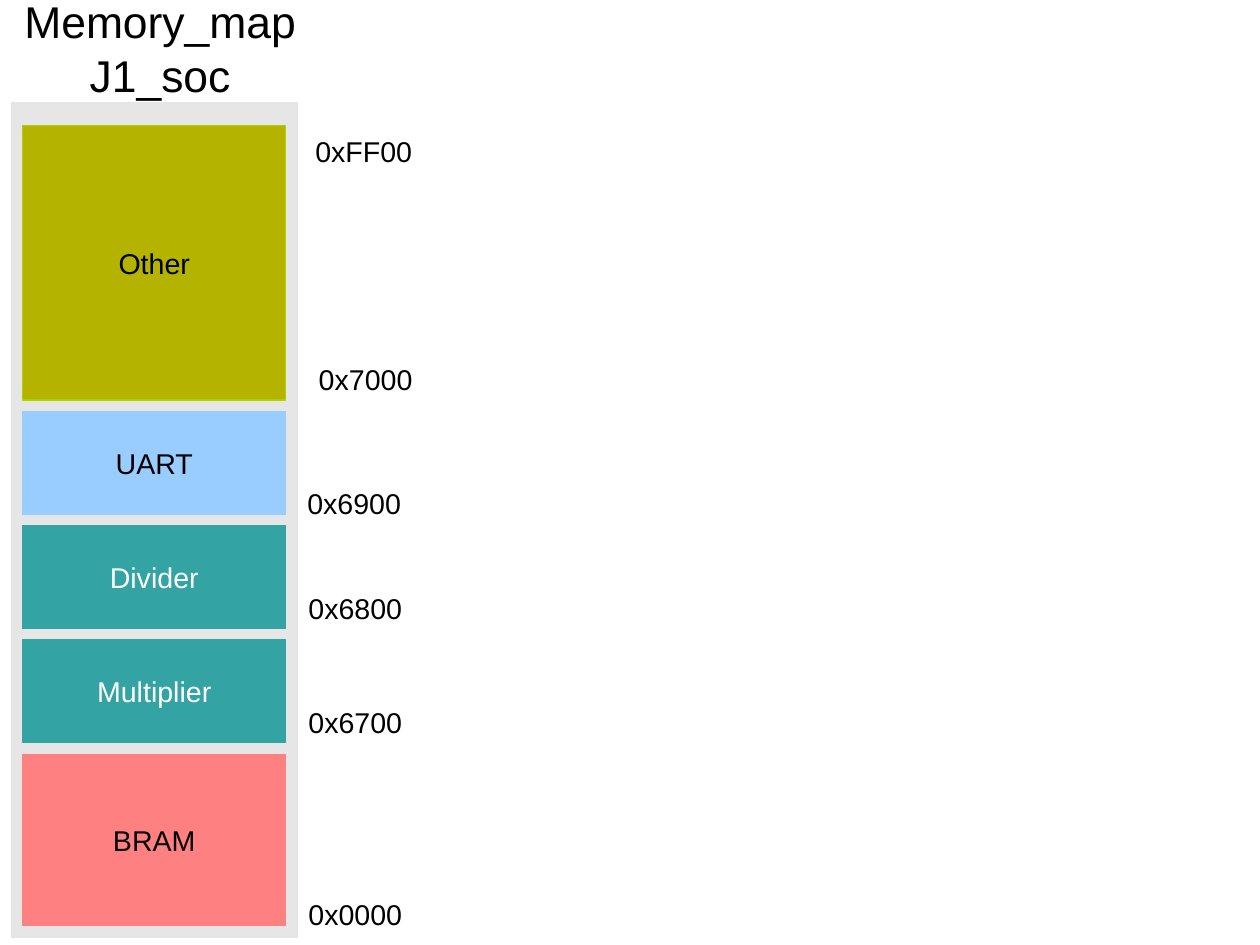
from pptx import Presentation
from pptx.dml.color import RGBColor
from pptx.enum.shapes import MSO_SHAPE as Shape
from pptx.enum.text import MSO_ANCHOR as Anchor, MSO_AUTO_SIZE as Auto, PP_ALIGN as Align
from pptx.util import Inches, Pt

BLACK = RGBColor(0x00, 0x00, 0x00)
WHITE = RGBColor(0xFF, 0xFF, 0xFF)
GREY = RGBColor(0xE6, 0xE6, 0xE6)
OLIVE = RGBColor(0xB3, 0xB3, 0x00)
LIME = RGBColor(0xAE, 0xCF, 0x00)
BLUE = RGBColor(0x99, 0xCC, 0xFF)
TEAL = RGBColor(0x33, 0xA3, 0xA3)
RED = RGBColor(0xFF, 0x80, 0x80)

WIDTH = 28 / 2.54
HEIGHT = 21 / 2.54
GAP = 0.1
BLOCKS = [
    ("Other", 2.4, OLIVE, LIME, BLACK),
    ("UART", 0.9, BLUE, BLUE, BLACK),
    ("Divider", 0.9, TEAL, TEAL, WHITE),
    ("Multiplier", 0.9, TEAL, TEAL, WHITE),
    ("BRAM", 1.5, RED, RED, BLACK),
]
MARKS = [
    ("0xFF00", 0.06, 0.22, 1.05),
    ("0x7000", 0.09, 2.22, 1.02),
    ("0x6900", -0.01, 3.3, 1.02),
    ("0x6800", 0, 4.22, 1.02),
    ("0x6700", 0, 5.22, 1.02),
    ("0x0000", 0, 6.9, 1.02),
]


def write(para, text, size, color, align):
    """Add one formatted run to a paragraph."""
    para.alignment = align
    run = para.add_run()
    run.text = text
    run.font.name = "Arial"
    run.font.size = Pt(size)
    run.font.color.rgb = color


def add_rect(slide, box, fill, line):
    """Draw a flat rectangle with a hairline border."""
    rect = slide.shapes.add_shape(Shape.RECTANGLE, *map(Inches, box))
    rect.shadow.inherit = False
    rect.fill.solid()
    rect.fill.fore_color.rgb = fill
    rect.line.color.rgb = line
    rect.line.width = Pt(0)
    return rect


def add_title(slide, box, lines):
    """Place the title, one paragraph per line."""
    title = slide.shapes.title
    title.left, title.top, title.width, title.height = map(Inches, box)
    frame = title.text_frame
    frame.word_wrap = True
    frame.auto_size = Auto.NONE
    frame.vertical_anchor = Anchor.TOP
    for i, text in enumerate(lines):
        para = frame.add_paragraph() if i else frame.paragraphs[0]
        write(para, text, 28, BLACK, Align.CENTER)


def add_stack(slide, box):
    """Draw the grey panel and stack the memory blocks in it."""
    left, top, width, _ = box
    add_rect(slide, box, GREY, GREY)
    y = top + 2 * GAP
    for name, height, fill, line, color in BLOCKS:
        rect = add_rect(slide, (left + GAP, y, width - 2 * GAP, height), fill, line)
        frame = rect.text_frame
        frame.word_wrap = False
        frame.vertical_anchor = Anchor.MIDDLE
        write(frame.paragraphs[0], name, 18, color, Align.CENTER)
        y += height + GAP


def add_marks(slide, box):
    """Place the addresses along the right side of the panel."""
    left, top, width, _ = box
    for text, dx, dy, wide in MARKS:
        spot = (left + width + dx, top + dy, wide, 0.38)
        frame = slide.shapes.add_textbox(*map(Inches, spot)).text_frame
        frame.word_wrap = False
        frame.auto_size = Auto.SHAPE_TO_FIT_TEXT
        write(frame.paragraphs[0], text, 18, BLACK, Align.LEFT)


def main():
    """Build the memory map slide."""
    deck = Presentation()
    deck.slide_width, deck.slide_height = Inches(WIDTH), Inches(HEIGHT)
    slide = deck.slides.add_slide(deck.slide_layouts[5])
    panel = (0.1, 0.9, 2.5, 7.3)
    add_title(slide, (-0.5, -0.1, 3.8, 2.5), ["Memory_map", "J1_soc"])
    add_stack(slide, panel)
    add_marks(slide, panel)
    deck.save("out.pptx")


if __name__ == "__main__":
    main()
